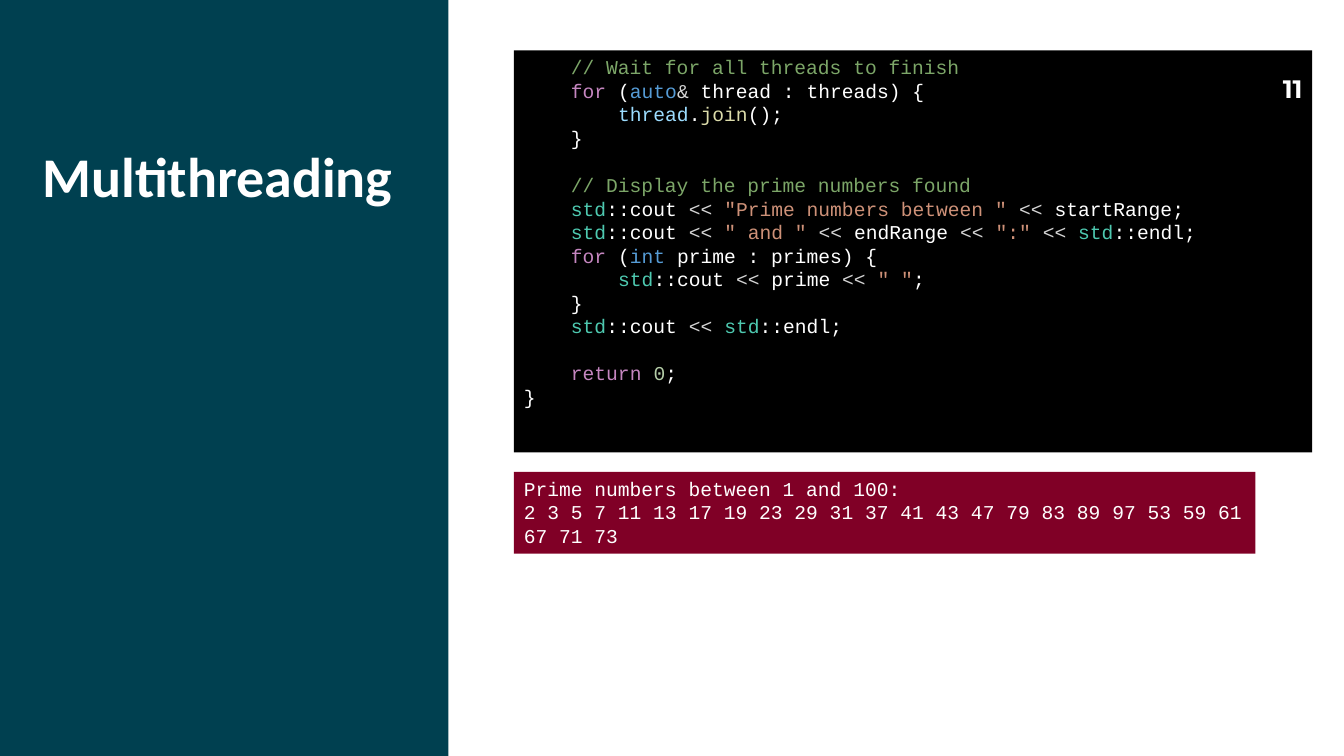
"""Build the Multithreading slide: C++ code listing with its console output."""
from pptx import Presentation
from pptx.dml.color import RGBColor
from pptx.enum.shapes import MSO_SHAPE
from pptx.enum.text import MSO_ANCHOR, PP_ALIGN
from pptx.util import Cm, Pt

RECT = MSO_SHAPE.RECTANGLE
TOP = MSO_ANCHOR.TOP
LEFT = PP_ALIGN.LEFT

COLORS = {
    "panel": "004050", "code": "000000", "output": "800026",
    "text": "FFFFFF", "comment": "7CA668", "keyword": "C586C0",
    "type": "569CD6", "operator": "D4D4D4", "variable": "9CDCFE",
    "function": "DCDCAA", "namespace": "4EC9B0", "string": "CE9178",
    "number": "B5CEA8",
}

TITLE = "Multithreading"
NUMBER = "11"
STD = ("std", "namespace")
COUT = "::cout "
SHIFT = ("<< ", "operator")
INDENT = "    "
CODE = [
    [(INDENT + "// Wait for all threads to finish", "comment")],
    [INDENT, ("for", "keyword"), " (", ("auto", "type"), ("&", "operator"),
     " thread : threads) {"],
    [INDENT * 2, ("thread", "variable"), ".", ("join", "function"), "();"],
    [INDENT + "}"],
    [(INDENT + "// Display the prime numbers found", "comment")],
    [INDENT, STD, COUT, SHIFT, ('"Prime numbers between " ', "string"), SHIFT,
     "startRange;"],
    [INDENT, STD, COUT, SHIFT, ('" and " ', "string"), SHIFT, "endRange ", SHIFT,
     ('":" ', "string"), SHIFT, STD, "::endl;"],
    [INDENT, ("for", "keyword"), " (", ("int", "type"), " prime : primes) {"],
    [INDENT * 2, STD, COUT, SHIFT, "prime ", SHIFT, ('" "', "string"), ";"],
    [INDENT + "}"],
    [INDENT, STD, COUT, SHIFT, STD, "::endl;"],
    [INDENT, ("return ", "keyword"), ("0", "number"), ";"],
    ["}"],
]
SECTION_STARTS = (4, 11)
OUTPUT = [
    ["Prime numbers between 1 and 100:"],
    ["2 3 5 7 11 13 17 19 23 29 31 37 41 43 47 79 83 89 97 53 59 61 67 71 73"],
]

CODE_LEFT = 12.95
CODE_LINE = 16.8


def add_block(s, color, *box):
    sp = s.shapes.add_shape(RECT, *map(Cm, box))
    sp.shadow.inherit = False
    sp.fill.solid()
    sp.fill.fore_color.rgb = RGBColor.from_string(COLORS[color])
    sp.line.fill.background()
    return sp


def write(sp, lines, font="Courier New", size=14, bold=False, spacing=None,
          gaps=(), gap=0, margins=None):
    tf = sp.text_frame
    tf.word_wrap = True
    tf.vertical_anchor = TOP
    if margins is not None:
        tf.margin_left = tf.margin_right = tf.margin_top = tf.margin_bottom = margins
    for i, line in enumerate(lines):
        p = tf.add_paragraph() if i else tf.paragraphs[0]
        p.alignment = LEFT
        p.line_spacing = spacing
        p.space_before = Pt(gap if i in gaps else 0)
        for token in line:
            text, color = (token, "text") if isinstance(token, str) else token
            r = p.add_run()
            r.text = text
            r.font.name = font
            r.font.size = Pt(size)
            r.font.bold = bold
            r.font.color.rgb = RGBColor.from_string(COLORS[color])


def main():
    prs = Presentation()
    prs.slide_width, prs.slide_height = Cm(33.87), Cm(19.05)
    s = prs.slides.add_slide(prs.slide_layouts[5])

    panel = add_block(s, "panel", 0, 0, 11.3, 19.05)
    title = s.shapes.title
    title.element.addprevious(panel.element)
    title.left, title.top, title.width, title.height = map(Cm, (1.07, 3.76, 9.58, 7.65))
    write(title, [[TITLE]], font="Calibri", size=40, bold=True, spacing=0.9, margins=0)

    code = add_block(s, "code", CODE_LEFT, 1.27, 20.12, 10.13)
    write(code, CODE, spacing=Pt(CODE_LINE), gaps=SECTION_STARTS, gap=CODE_LINE)
    output = add_block(s, "output", CODE_LEFT, 11.89, 18.69, 2.06)
    write(output, OUTPUT, spacing=Pt(CODE_LINE))

    number = s.shapes.add_textbox(*map(Cm, (32.08, 1.73, 1.27, 1.02)))
    write(number, [[NUMBER]], font="Montserrat", size=18, bold=True)

    prs.save("out.pptx")


if __name__ == "__main__":
    main()
